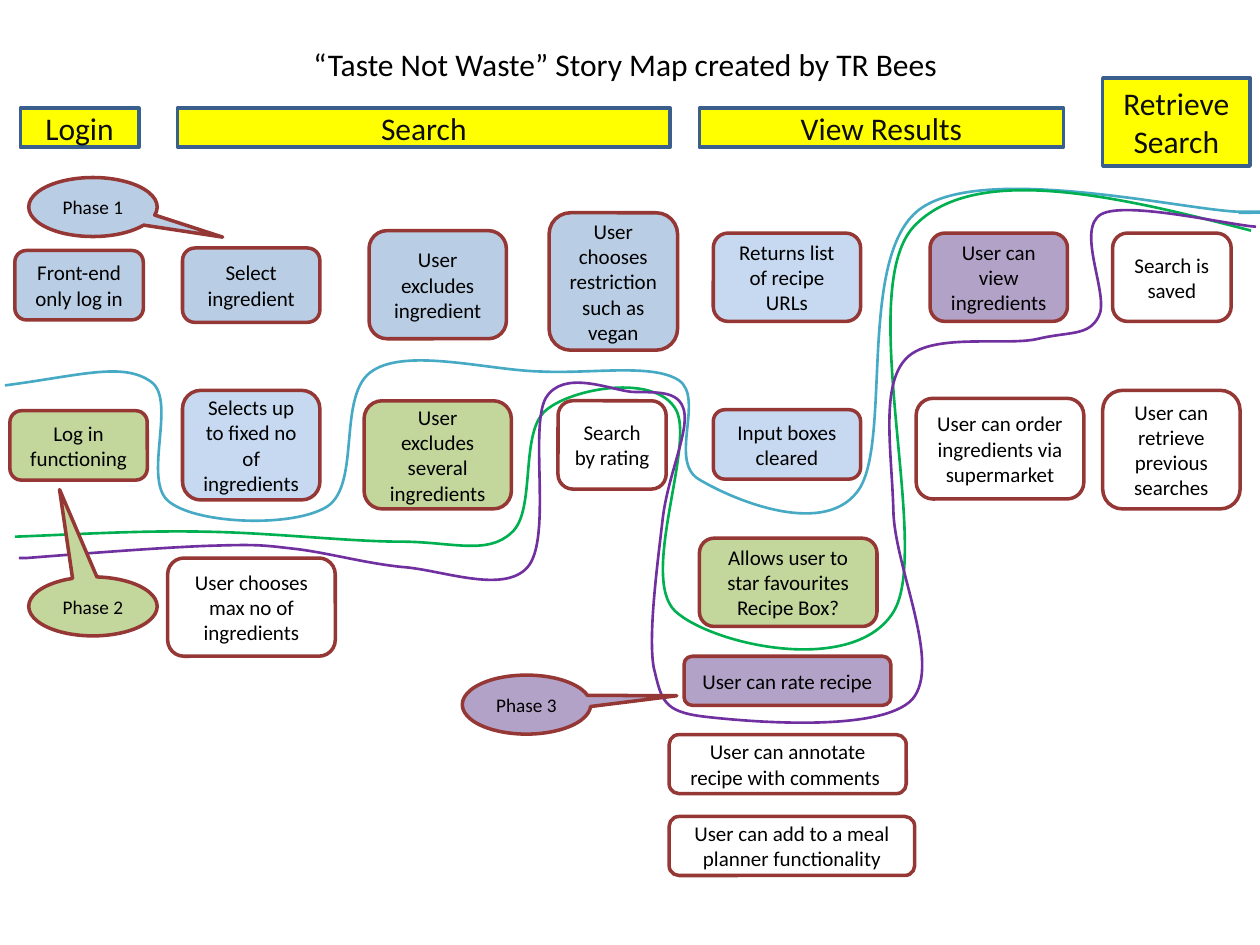
from dataclasses import dataclass

from lxml import etree
from pptx import Presentation
from pptx import util as u
from pptx.dml.color import RGBColor
from pptx.enum import shapes, text
from pptx.oxml.ns import qn


@dataclass(frozen=True)
class Theme:
    font: str = "Calibri"
    ink: str = "000000"
    heading_ink: str = "0D0D0D"
    phase1: str = "B9CDE5"
    phase1_light: str = "C6D9F1"
    phase2: str = "C3D69B"
    phase3: str = "B3A2C7"
    later: str = "FFFFFF"
    activity: str = "FFFF00"
    card_line: str = "953735"
    activity_line: str = "3A5F8C"
    route1: str = "46AAC5"
    route2: str = "00B050"
    route3: str = "7030A0"
    heading_size: int = 18
    card_size: int = 12
    callout_size: int = 11
    outline: float = 2
    route_width: float = 1.5


T = Theme()
MSO = shapes.MSO_SHAPE

# Text, fill, then left, top, width, height in cm
CARDS = [
    ("Select ingredient", T.phase1, 3.68, 5, 2.77, 1.5),
    ("Selects up to fixed no of ingredients", T.phase1_light, 3.68, 7.87, 2.77, 2.21),
    ("User chooses max no of ingredients", T.later, 3.38, 11.25, 3.38, 1.98),
    ("Returns list of recipe URLs", T.phase1_light, 14.38, 4.7, 2.97, 1.78),
    ("Front-end only log in", T.phase1, 0.3, 5.05, 2.59, 1.4),
    ("Input boxes cleared", T.phase1_light, 14.38, 8.26, 2.97, 1.4),
    ("User excludes ingredient", T.phase1, 7.44, 4.65, 2.77, 2.18),
    ("User chooses restriction such as vegan", T.phase1, 11.07, 4.29, 2.59, 2.77),
    ("User excludes several ingredients", T.phase2, 7.34, 8.08, 2.97, 2.18),
    ("Allows user to star favourites\nRecipe Box?", T.phase2, 14.1, 10.85, 3.58, 1.78),
    ("User can view ingredients", T.phase3, 18.75, 4.7, 2.77, 1.78),
    ("User can order ingredients via supermarket", T.later, 18.47, 8.03, 3.38, 2.03),
    ("Search is saved", T.later, 22.43, 4.7, 2.39, 1.78),
    ("Log in functioning", T.phase2, 0.2, 8.28, 2.77, 1.4),
    ("User can add to a meal planner functionality", T.later, 13.49, 16.46, 4.95, 1.19),
    ("User can rate recipe", T.phase3, 13.79, 13.23, 4.17, 0.99),
    ("Search by rating", None, 11.25, 8.08, 2.18, 1.78),
    ("User can retrieve previous searches", T.later, 22.23, 7.87, 2.77, 2.39),
    ("User can annotate recipe with comments ", T.later, 13.49, 14.81, 4.78, 1.19),
]

# Colour, then a start point followed by Bézier triples (control, control, end)
ROUTES = [
    (T.route1, [
        (0.1, 7.77), (1.63, 7.57), (2.49, 7.29), (3.05, 7.7),
        (3.58, 8.08), (2.84, 9.73), (3.43, 10.13),
        (4.01, 10.57), (5.92, 10.64), (6.6, 10.21),
        (7.29, 9.75), (6.78, 7.92), (7.52, 7.47),
        (8.23, 7.01), (9.88, 7.47), (10.9, 7.49),
        (11.94, 7.54), (13.16, 7.32), (13.69, 7.67),
        (14.2, 8.03), (13.49, 9.27), (14.07, 9.65),
        (14.68, 10.03), (16.54, 10.85), (17.27, 9.93),
        (18.01, 9.04), (17.25, 5.18), (18.54, 4.22),
        (19.81, 3.28), (23.9, 4.24), (24.97, 4.27),
        (26.06, 4.27), (25.55, 4.29), (24.97, 4.29)]),
    (T.route2, [
        (0.3, 10.82), (1.6, 10.77), (2.87, 10.69), (4.17, 10.72),
        (5.46, 10.74), (7.06, 10.92), (8.08, 10.92),
        (9.09, 10.92), (9.83, 11.2), (10.31, 10.74),
        (10.82, 10.31), (10.46, 8.69), (11.02, 8.26),
        (11.56, 7.82), (13.18, 7.54), (13.61, 8.23),
        (14.05, 8.89), (12.88, 11.61), (13.61, 12.32),
        (14.35, 13), (17.2, 13.64), (18.01, 12.34),
        (18.8, 11.07), (17.22, 5.87), (18.42, 4.57),
        (19.61, 3.3), (22.38, 3.91), (25.22, 4.65)]),
    (T.route3, [
        (0.38, 11.25), (0.43, 11.25), (0.48, 11.25), (0.53, 11.25),
        (1.19, 11.2), (3.43, 11.02), (4.34, 11),
        (5.26, 10.97), (5.36, 11), (5.99, 11.07),
        (6.63, 11.15), (7.34, 11.35), (8.1, 11.43),
        (8.89, 11.48), (10.16, 11.99), (10.64, 11.43),
        (11.13, 10.85), (10.67, 8.64), (11, 8.03),
        (11.35, 7.44), (12.27, 7.85), (12.73, 7.9),
        (13.21, 7.92), (13.69, 7.85), (13.79, 8.28),
        (13.89, 8.71), (13.46, 9.6), (13.36, 10.46),
        (13.26, 11.33), (13.06, 12.8), (13.18, 13.46),
        (13.34, 14.12), (13.36, 14.35), (14.22, 14.45),
        (15.09, 14.55), (17.75, 14.78), (18.39, 14.1),
        (19, 13.39), (18.03, 11.43), (18.01, 10.29),
        (17.98, 9.14), (17.75, 7.82), (18.24, 7.26),
        (18.72, 6.68), (20.27, 6.99), (20.93, 6.83),
        (21.56, 6.68), (21.95, 6.78), (22.15, 6.38),
        (22.38, 5.97), (21.67, 4.62), (22.2, 4.32),
        (22.71, 4.04), (24.84, 4.55), (25.32, 4.57)]),
]

# Text, fill, left, top, pointer tip offset as a share of width and height
CALLOUTS = [
    ("Phase 1", T.phase1, 0.58, 3.58, (1.01, 0.51)),
    ("Phase 2", T.phase2, 0.58, 11.63, (-0.26, -1.98)),
    ("Phase 3", T.phase3, 9.32, 13.61, (1.17, -0.15)),
]

ACTIVITIES = [
    ("Login", 0.41, 2.18, 2.39, 0.79),
    ("Search", 3.58, 2.18, 9.93, 0.79),
    ("View Results", 14.1, 2.18, 7.34, 0.79),
    ("Retrieve Search", 22.23, 1.57, 2.97, 1.78),
]


class StoryMap:
    def __init__(self, prs, theme):
        self.theme = theme
        self.s = prs.slides.add_slide(prs.slide_layouts[5])

    def _write(self, sp, words, size, color, **frame):
        tf = sp.text_frame
        tf.text = words
        for name, value in {"word_wrap": True, **frame}.items():
            setattr(tf, name, value)
        font = {"name": self.theme.font, "size": u.Pt(size)}
        for p in tf.paragraphs:
            p.alignment = text.PP_ALIGN.CENTER
            for r in p.runs:
                for name, value in font.items():
                    setattr(r.font, name, value)
                r.font.color.rgb = RGBColor.from_string(color)

    def _paint(self, sp, fill, line, width):
        sp.shadow.inherit = False
        if fill:
            sp.fill.solid()
            sp.fill.fore_color.rgb = RGBColor.from_string(fill)
        else:
            sp.fill.background()
        sp.line.color.rgb = RGBColor.from_string(line)
        sp.line.width = u.Pt(width)

    def _box(self, kind, words, box, fill, line, size, color):
        sp = self.s.shapes.add_shape(kind, *map(u.Cm, box))
        self._paint(sp, fill, line, self.theme.outline)
        self._write(sp, words, size, color, vertical_anchor=text.MSO_ANCHOR.MIDDLE)
        return sp

    def title(self, words, *box):
        sp = self.s.shapes.title
        for name, value in zip(("left", "top", "width", "height"), box):
            setattr(sp, name, u.Cm(value))
        self._write(sp, words, self.theme.heading_size, self.theme.ink,
                    vertical_anchor=text.MSO_ANCHOR.TOP,
                    auto_size=text.MSO_AUTO_SIZE.SHAPE_TO_FIT_TEXT)

    def card(self, words, fill, *box):
        t = self.theme
        self._box(MSO.ROUNDED_RECTANGLE, words, box, fill, t.card_line, t.card_size, t.ink)

    def activity(self, words, *box):
        t = self.theme
        self._box(MSO.RECTANGLE, words, box, t.activity, t.activity_line,
                  t.heading_size, t.heading_ink)

    def callout(self, words, fill, left, top, tip):
        t = self.theme
        sp = self._box(MSO.OVAL_CALLOUT, words, (left, top, 2.59, 1.19), fill,
                       t.card_line, t.callout_size, t.ink)
        sp.adjustments[0], sp.adjustments[1] = tip

    def route(self, color, points):
        """Build a polyline, then regroup its vertices into cubic Bézier segments."""
        start, *rest = [(u.Cm(x), u.Cm(y)) for x, y in points]
        builder = self.s.shapes.build_freeform(*start)
        builder.add_line_segments(rest, close=False)
        sp = builder.convert_to_shape()
        self._paint(sp, None, color, self.theme.route_width)
        outline = next(sp.element.iter(qn("a:path")))
        segments = outline.findall(qn("a:lnTo"))
        for i in range(0, len(segments), 3):
            curve = etree.SubElement(outline, qn("a:cubicBezTo"))
            for segment in segments[i:i + 3]:
                curve.append(segment[0])
                outline.remove(segment)


def main():
    prs = Presentation()
    prs.slide_width, prs.slide_height = u.Cm(25.4), u.Cm(19.05)
    story = StoryMap(prs, T)
    story.title("“Taste Not Waste” Story Map created by TR Bees", 3.18, 0.79, 18.85, 1.02)
    for draw, rows in ((story.card, CARDS), (story.route, ROUTES),
                       (story.callout, CALLOUTS), (story.activity, ACTIVITIES)):
        for row in rows:
            draw(*row)
    prs.save("out.pptx")


if __name__ == "__main__":
    main()
